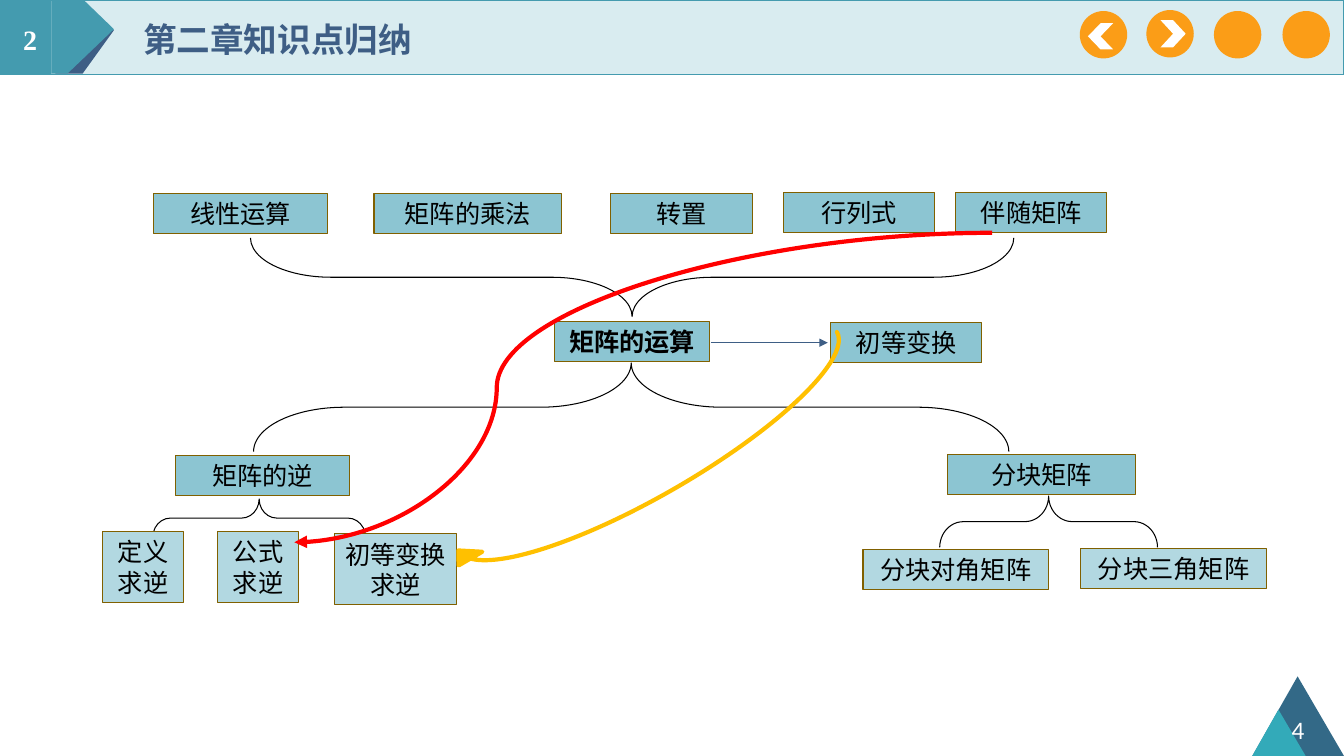
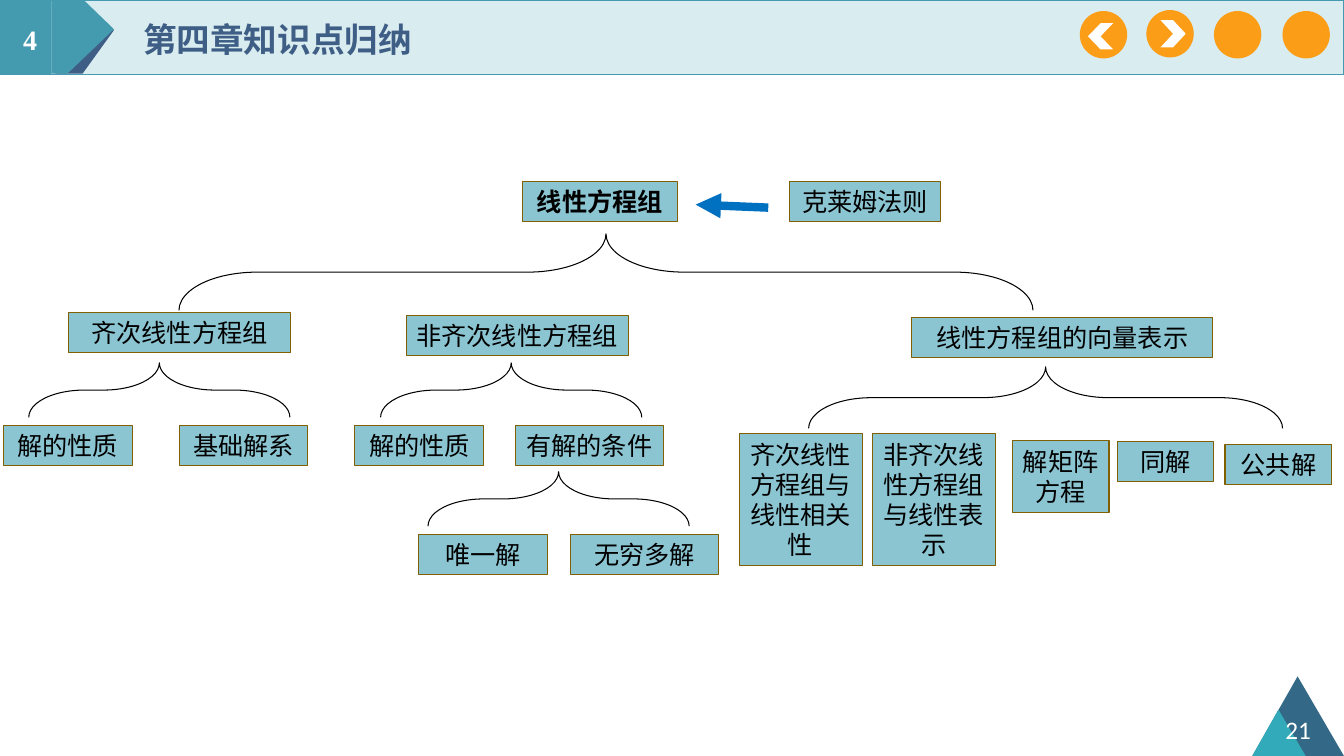
from dataclasses import dataclass

from pptx import Presentation
from pptx.dml.color import RGBColor
from pptx.enum.shapes import MSO_CONNECTOR, MSO_SHAPE
from pptx.enum.text import MSO_ANCHOR, PP_ALIGN
from pptx.oxml.ns import qn
from pptx.util import Inches, Pt

RECT, OVAL = MSO_SHAPE.RECTANGLE, MSO_SHAPE.OVAL
CHEVRON, BRACE = MSO_SHAPE.CHEVRON, MSO_SHAPE.LEFT_BRACE
CURVED_ARROW = MSO_SHAPE.CURVED_LEFT_ARROW
STRAIGHT, CURVE = MSO_CONNECTOR.STRAIGHT, MSO_CONNECTOR.CURVE
LEFT, CENTER, MIDDLE = PP_ALIGN.LEFT, PP_ALIGN.CENTER, MSO_ANCHOR.MIDDLE


@dataclass(frozen=True)
class Theme:
    band: str = "D9ECF0"
    teal: str = "449BAF"
    navy: str = "3E5E85"
    corner_dark: str = "336987"
    corner_light: str = "33AAB9"
    button: str = "FF9500"
    topic: str = "8CC5D2"
    method: str = "B2D8E1"
    box_edge: str = "806000"
    red: str = "FF0000"
    gold: str = "FFC000"
    blue: str = "0070C0"
    white: str = "FFFFFF"
    black: str = "000000"
    cjk_font: str = "Noto Sans CJK SC"
    chapter_font: str = "Times New Roman"
    page_font: str = "Calibri"
    title_size: int = 24
    chapter_size: int = 20
    body_size: int = 18


THEME = Theme()


def rgb(color):
    return RGBColor.from_string(color)


def style(shape, fill=None, line=None, line_width=0.75):
    shape.shadow.inherit = False
    if fill:
        shape.fill.solid()
        shape.fill.fore_color.rgb = rgb(fill)
    else:
        shape.fill.background()
    if line:
        shape.line.color.rgb = rgb(line)
        shape.line.width = Pt(line_width)
    else:
        shape.line.fill.background()


def add_shape(slide, kind, left, top, width, height, **look):
    shape = slide.shapes.add_shape(
        kind, Inches(left), Inches(top), Inches(width), Inches(height))
    style(shape, **look)
    return shape


def add_polygon(slide, points, fill):
    corners = [(Inches(x), Inches(y)) for x, y in points]
    builder = slide.shapes.build_freeform(*corners[0], scale=1.0)
    builder.add_line_segments(corners[1:], close=True)
    style(builder.convert_to_shape(), fill)


def write(frame, text, *, size=THEME.body_size, color=THEME.black,
          font=THEME.cjk_font, bold=False, align=CENTER, inset=0.08):
    """Fill a text frame; each line of text becomes a paragraph."""
    frame.word_wrap = True
    frame.vertical_anchor = MIDDLE
    frame.margin_left = frame.margin_right = Inches(inset)
    frame.margin_top = frame.margin_bottom = 0
    for index, line in enumerate(text.split("\n")):
        paragraph = frame.add_paragraph() if index else frame.paragraphs[0]
        paragraph.alignment = align
        paragraph.line_spacing = Pt(1.2 * size)
        run = paragraph.add_run()
        run.text = line
        run.font.size = Pt(size)
        run.font.bold = bold
        run.font.color.rgb = rgb(color)
        run.font.name = font
        properties = run.font._element
        east_asian = properties.makeelement(
            qn("a:ea"), {"typeface": THEME.cjk_font})
        properties.find(qn("a:latin")).addnext(east_asian)


def add_label(slide, text, left, top, width, height, **text_format):
    label = slide.shapes.add_textbox(
        Inches(left), Inches(top), Inches(width), Inches(height))
    write(label.text_frame, text, inset=0, **text_format)


def add_box(slide, text, left, top, width, height=0.4, fill=THEME.topic,
            bold=False):
    box = add_shape(slide, RECT, left, top, width, height,
                    fill=fill, line=THEME.box_edge)
    write(box.text_frame, text, bold=bold)


def add_brace(slide, center, top, span, depth, bend=1.02, rotation=90):
    """Draw a horizontal brace; rotation 90 points up, 270 points down."""
    brace = add_shape(slide, BRACE, center - depth / 2,
                      top + (depth - span) / 2, depth, span, line=THEME.black)
    brace.rotation = rotation
    brace.adjustments[0] = bend


def add_arrow(slide, start, end, color, line_width, bend=None):
    """Draw an arrow; bend is the share of the run where a curve turns."""
    arrow = slide.shapes.add_connector(
        STRAIGHT if bend is None else CURVE,
        *(Inches(value) for value in start + end))
    arrow.line.color.rgb = rgb(color)
    arrow.line.width = Pt(line_width)
    line = arrow.line._get_or_add_ln()
    line.append(line.makeelement(qn("a:tailEnd"), {"type": "triangle"}))
    properties = arrow._element.spPr
    properties.append(properties.makeelement(qn("a:effectLst"), {}))
    if bend is not None:
        geometry = properties.find(qn("a:prstGeom"))
        guides = geometry.find(qn("a:avLst"))
        if guides is None:
            guides = geometry.makeelement(qn("a:avLst"), {})
            geometry.append(guides)
        guides.append(guides.makeelement(
            qn("a:gd"), {"name": "adj1", "fmla": f"val {round(bend * 100000)}"}))


def add_button(slide, left, top):
    button = add_shape(slide, OVAL, left, top, 0.47, 0.47, fill=THEME.button)
    color = button._element.spPr.find(qn("a:solidFill"))[0]
    color.append(color.makeelement(qn("a:alpha"), {"val": "90000"}))


def add_frame(slide, chapter, title, page):
    """Draw the header band, navigation buttons and page corner."""
    add_shape(slide, RECT, 0, 0, 13.33, 0.74,
              fill=THEME.band, line=THEME.teal, line_width=1)
    add_polygon(slide, [(0.74, 0), (1.13, 0.3), (0.82, 0.73),
                        (0.55, 0.73), (0.55, 0)], THEME.navy)
    add_polygon(slide, [(0.51, 0), (0.83, 0), (1.13, 0.29),
                        (0.67, 0.73), (0.51, 0.73)], THEME.teal)
    add_shape(slide, RECT, 0, 0, 0.51, 0.74, fill=THEME.teal)
    add_polygon(slide, [(13.33, 7.5), (12.42, 7.5), (12.87, 6.71)],
                THEME.corner_dark)
    add_polygon(slide, [(12.95, 7.5), (12.42, 7.5), (12.68, 7.04)],
                THEME.corner_light)

    for left, top in [(10.71, 0.11), (11.37, 0.1), (12.04, 0.11), (12.72, 0.11)]:
        add_button(slide, left, top)
    back = add_shape(slide, CHEVRON, 10.79, 0.23, 0.25, 0.26, fill=THEME.white)
    back.rotation = 180
    add_shape(slide, CHEVRON, 11.51, 0.2, 0.25, 0.27, fill=THEME.white)

    add_label(slide, chapter, 0, 0, 0.6, 0.78, size=THEME.chapter_size,
              color=THEME.white, font=THEME.chapter_font, bold=True)
    add_label(slide, title, 1.42, 0, 9, 0.78, size=THEME.title_size,
              color=THEME.navy, bold=True, align=LEFT)
    add_label(slide, page, 12.56, 7.04, 0.63, 0.4,
              color=THEME.white, font=THEME.page_font)


def add_matrix_map(slide):
    add_brace(slide, 6.26, 3.6, 7.49, 0.88)
    add_brace(slide, 6.27, 2.36, 7.57, 0.78, rotation=270)
    add_brace(slide, 2.57, 4.95, 2.11, 0.38, bend=0.46)
    add_brace(slide, 10.4, 4.92, 2.16, 0.51, bend=0.46)

    add_box(slide, "矩阵的运算", 5.5, 3.19, 1.54, bold=True)
    topics = [
        ("线性运算", 1.52, 1.92, 1.73),
        ("矩阵的乘法", 3.71, 1.92, 1.86),
        ("转置", 6.06, 1.92, 1.4),
        ("行列式", 7.77, 1.91, 1.5),
        ("伴随矩阵", 9.48, 1.91, 1.5),
        ("初等变换", 8.24, 3.2, 1.5),
        ("矩阵的逆", 1.74, 4.52, 1.73),
        ("分块矩阵", 9.4, 4.51, 1.86),
    ]
    methods = [
        ("定义\n求逆", 1.02, 5.27, 0.8, 0.71),
        ("公式求逆", 2.16, 5.27, 0.8, 0.71),
        ("初等变换\n求逆", 3.32, 5.29, 1.21, 0.71),
        ("分块对角矩阵", 8.56, 5.45, 1.84),
        ("分块三角矩阵", 10.72, 5.44, 1.84),
    ]
    for topic in topics:
        add_box(slide, *topic)
    for method in methods:
        add_box(slide, *method, fill=THEME.method)

    add_arrow(slide, (7.05, 3.4), (8.21, 3.4), THEME.navy, 0.5)
    to_inverse = add_shape(slide, CURVED_ARROW, 6.23, 2.41, 0.54, 4.47,
                           fill=THEME.gold, line=THEME.gold, line_width=3)
    to_inverse.rotation = 60
    for index, value in enumerate((0, 0.5, 0.24)):
        to_inverse.adjustments[index] = value
    add_arrow(slide, (9.84, 2.31), (2.92, 5.38), THEME.red, 3, bend=0.71)


def add_equation_map(slide):
    braces = [
        (6.01, 2.32, 8.47, 0.76),
        (1.58, 3.6, 2.59, 0.54),
        (5.07, 3.6, 2.59, 0.54),
        (5.54, 4.68, 2.59, 0.54),
        (10.37, 3.64, 4.7, 0.61),
    ]
    topics = [
        ("克莱姆法则", 7.83, 1.8, 1.5),
        ("齐次线性方程组", 0.68, 3.1, 2.2),
        ("非齐次线性方程组", 4.03, 3.13, 2.2),
        ("线性方程组的向量表示", 9.04, 3.15, 2.99),
        ("解的性质", 0.03, 4.22, 1.28),
        ("基础解系", 1.78, 4.22, 1.27),
        ("解的性质", 3.52, 4.22, 1.28),
        ("有解的条件", 5.11, 4.22, 1.47),
        ("唯一解", 4.15, 5.3, 1.28),
        ("无穷多解", 5.66, 5.3, 1.47),
        ("齐次线性方程组与线性相关性", 7.33, 4.3, 1.22, 1.31),
        ("非齐次线性方程组与线性表示", 8.65, 4.3, 1.22, 1.31),
        ("解矩阵方程", 10.04, 4.37, 0.96, 0.71),
        ("同解", 11.08, 4.38, 0.96),
        ("公共解", 12.15, 4.41, 1.06),
    ]
    for brace in braces:
        add_brace(slide, *brace)
    add_box(slide, "线性方程组", 5.18, 1.8, 1.54, bold=True)
    for topic in topics:
        add_box(slide, *topic)
    add_arrow(slide, (7.62, 2.06), (6.9, 2.03), THEME.blue, 6)


def main():
    deck = Presentation()
    deck.slide_width, deck.slide_height = Inches(13.33), Inches(7.5)
    blank = deck.slide_layouts[6]
    chapters = [
        ("2", "第二章知识点归纳", "4", add_matrix_map),
        ("4", "第四章知识点归纳", "21", add_equation_map),
    ]
    for chapter, title, page, add_map in chapters:
        slide = deck.slides.add_slide(blank)
        add_frame(slide, chapter, title, page)
        add_map(slide)
    deck.save("out.pptx")


if __name__ == "__main__":
    main()
